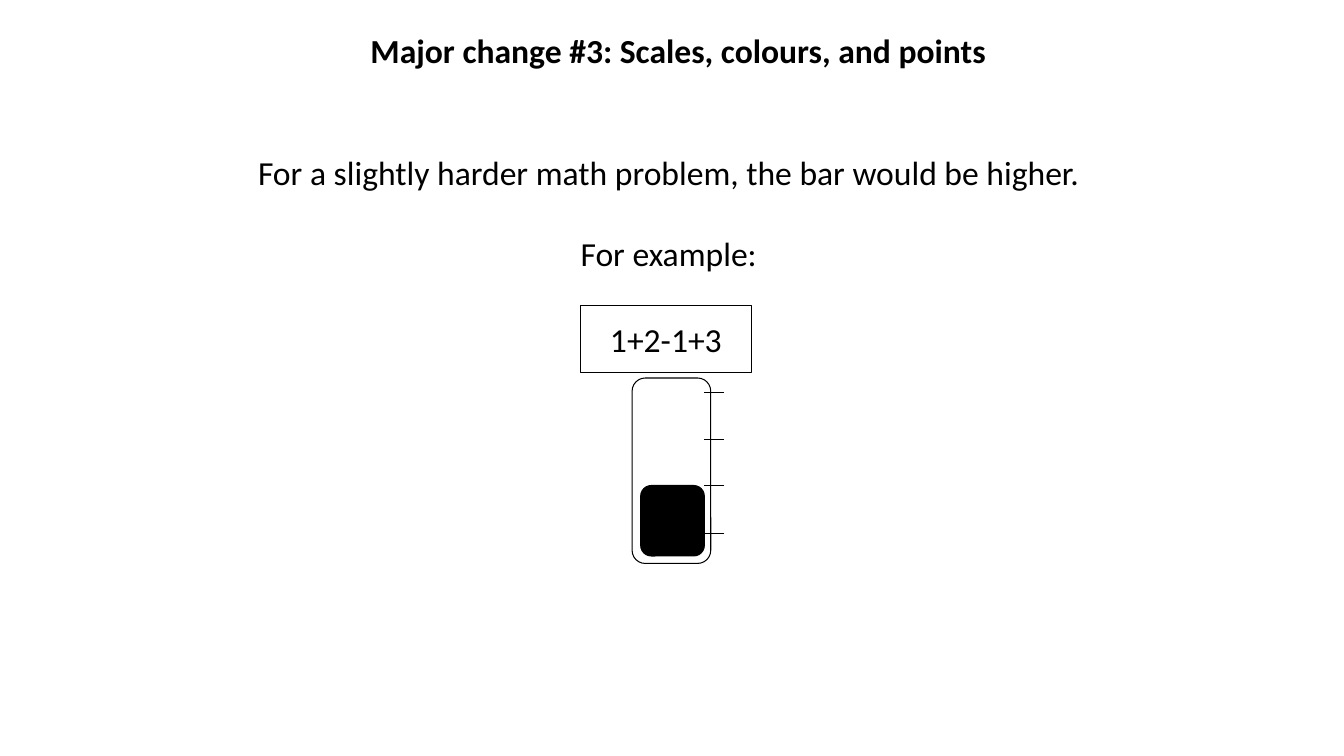
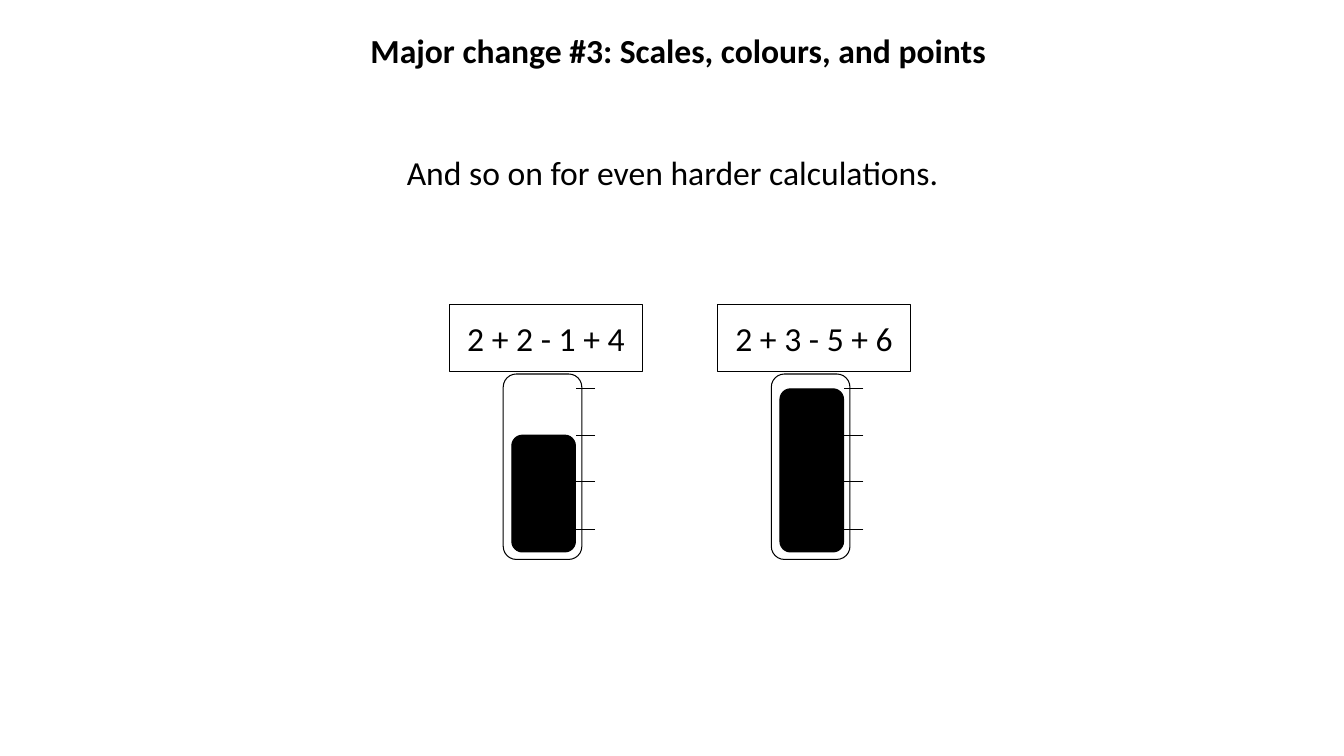
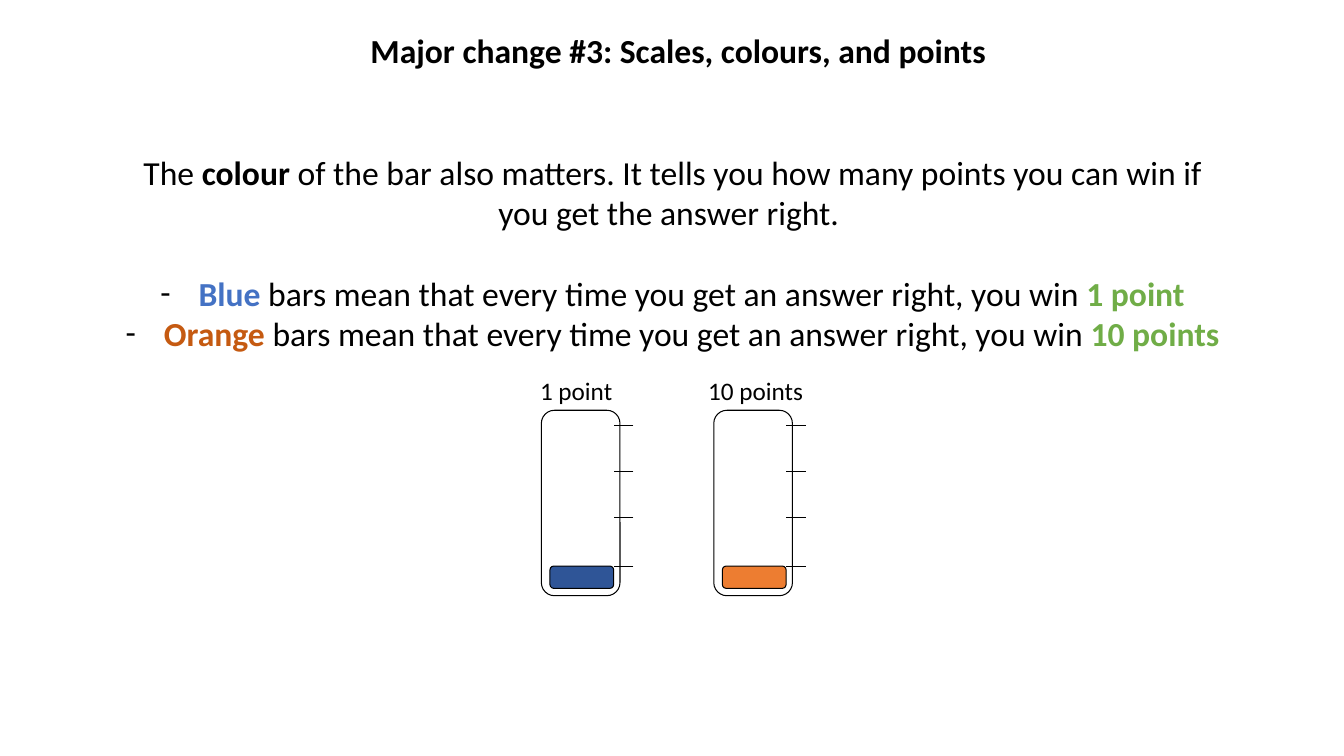
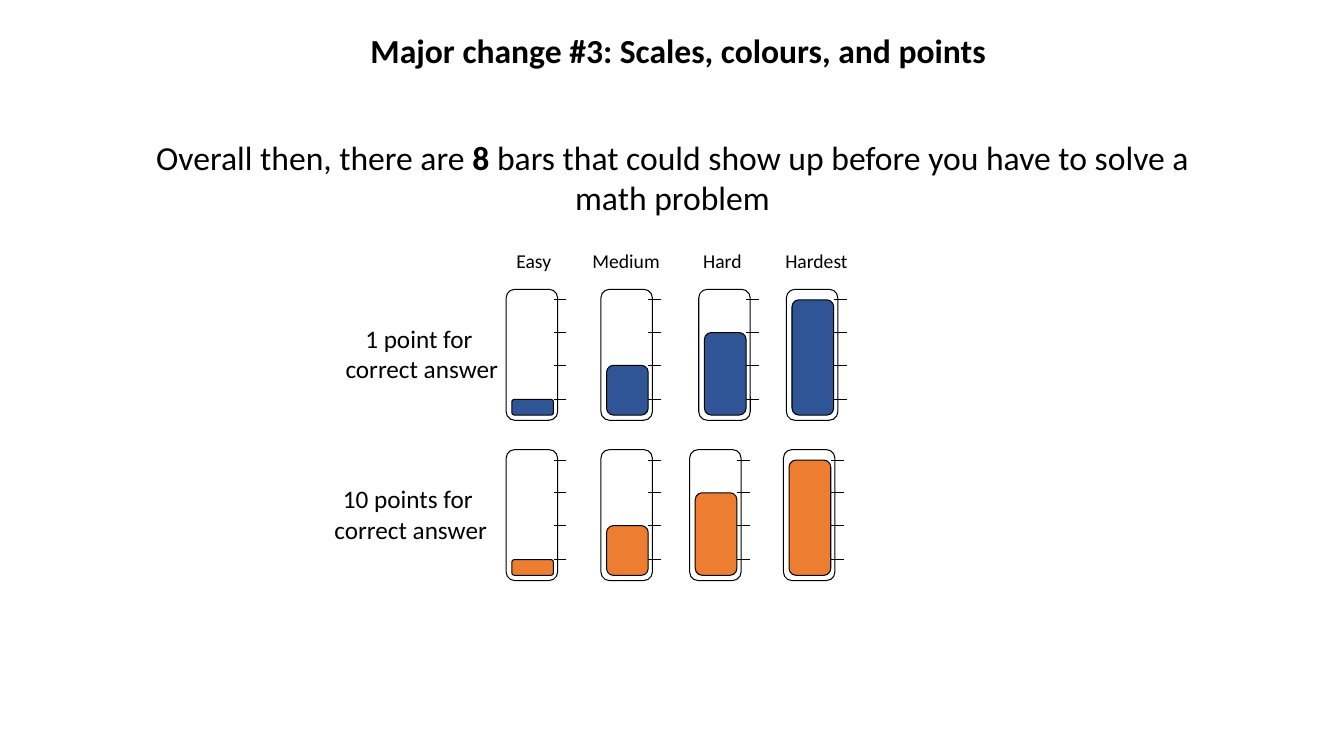
import pptx
import pptx.dml.color
import pptx.enum.shapes
import pptx.enum.text
import pptx.oxml
import pptx.oxml.ns
import pptx.util

RGB = pptx.dml.color.RGBColor
SHAPE = pptx.enum.shapes.MSO_SHAPE
ANCHOR = pptx.enum.text.MSO_ANCHOR
CENTER = pptx.enum.text.PP_ALIGN.CENTER

WIDTH = pptx.util.Inches(13.33)
HEIGHT = pptx.util.Inches(7.5)

BLACK = RGB(0x00, 0x00, 0x00)
WHITE = RGB(0xFF, 0xFF, 0xFF)
BLUE = RGB(0x2F, 0x55, 0x97)
ORANGE = RGB(0xED, 0x7D, 0x31)
BLUE_TEXT = RGB(0x44, 0x72, 0xC4)
ORANGE_TEXT = RGB(0xC5, 0x5A, 0x11)
GREEN_TEXT = RGB(0x70, 0xAD, 0x47)

FONT = "Calibri"
TEXT_SIZE = 24
LINE_WIDTH = pptx.util.Pt(0.75)
TITLE = "Major change #3: Scales, colours, and points "
TITLE_BOX = (4.35, 3.33, 92.8, 6.67)

GAUGE = (5.85, 24.53)
SMALL_GAUGE = (3.83, 17.33)
TICKS = (0.84, 0.58, 0.33, 0.08)
EASY, MEDIUM, HARD, HARDEST = TICKS


def across(percent):
    return round(WIDTH * percent / 100)


def down(percent):
    return round(HEIGHT * percent / 100)


def place(box):
    left, top, width, height = box
    return across(left), down(top), across(width), down(height)


def add_run(p, text, size=TEXT_SIZE, color=BLACK, bold=False):
    r = p.add_run()
    r.text = text
    r.font.name = FONT
    r.font.size = pptx.util.Pt(size)
    r.font.bold = bold
    r.font.color.rgb = color


def add_bullet(p):
    pPr = p._p.get_or_add_pPr()
    indent = across(2.85)
    pPr.set("marL", str(indent))
    pPr.set("indent", str(-indent))
    ns = pptx.oxml.ns.nsdecls("a")
    for xml in (
        f'<a:buClr {ns}><a:srgbClr val="{BLACK}"/></a:buClr>',
        f'<a:buFont {ns} typeface="{FONT}"/>',
        f'<a:buChar {ns} char="-"/>',
    ):
        pPr.append(pptx.oxml.parse_xml(xml))


def add_paragraph(tf, index):
    p = tf.add_paragraph() if index else tf.paragraphs[0]
    p.alignment = CENTER
    return p


def set_insets(tf):
    inset = across(1)
    tf.margin_left = tf.margin_right = inset
    tf.margin_top = tf.margin_bottom = inset


def outline(sp, fill=None):
    sp.shadow.inherit = False
    if fill is None:
        sp.fill.background()
    else:
        sp.fill.solid()
        sp.fill.fore_color.rgb = fill
    sp.line.color.rgb = BLACK
    sp.line.width = LINE_WIDTH


def add_titled_slide(prs):
    slide = prs.slides.add_slide(prs.slide_layouts[5])
    sp = slide.shapes.title
    sp.left, sp.top, sp.width, sp.height = place(TITLE_BOX)
    tf = sp.text_frame
    tf.auto_size = pptx.enum.text.MSO_AUTO_SIZE.NONE
    tf.vertical_anchor = ANCHOR.TOP
    add_run(add_paragraph(tf, 0), TITLE, bold=True)
    return slide


def add_body(slide, top, height, paragraphs, gap_before=None, first_bullet=None):
    sp = slide.shapes.add_textbox(*place((8.25, top, 83.57, height)))
    tf = sp.text_frame
    tf.word_wrap = True
    set_insets(tf)
    for i, runs in enumerate(paragraphs):
        p = add_paragraph(tf, i)
        if i == gap_before:
            p.space_before = pptx.util.Pt(29)
        if first_bullet is not None and i >= first_bullet:
            add_bullet(p)
        for text, color, bold in runs:
            add_run(p, text, color=color, bold=bold)


def add_label(slide, center, top, lines, size):
    width = 14
    height = 6.67 * len(lines)
    sp = slide.shapes.add_textbox(*place((center - width / 2, top, width, height)))
    tf = sp.text_frame
    tf.word_wrap = True
    for i, text in enumerate(lines):
        add_run(add_paragraph(tf, i), text, size)


def add_equation(slide, box, text):
    sp = slide.shapes.add_shape(SHAPE.RECTANGLE, *place(box))
    outline(sp)
    tf = sp.text_frame
    tf.vertical_anchor = ANCHOR.MIDDLE
    set_insets(tf)
    add_run(add_paragraph(tf, 0), text)


def add_gauge(slide, left, top, size, level, color):
    width, height = size
    shapes = slide.shapes.add_group_shape().shapes

    def add_tube(box, fill):
        outline(shapes.add_shape(SHAPE.FLOWCHART_ALTERNATE_PROCESS, *place(box)), fill)

    add_tube((left, top, width, height), WHITE)
    for tick in TICKS:
        y = down(top + tick * height)
        c = shapes.add_connector(
            pptx.enum.shapes.MSO_CONNECTOR.STRAIGHT,
            across(left + 1.17 * width), y, across(left + 0.92 * width), y,
        )
        c.line.color.rgb = BLACK
        c.line.width = LINE_WIDTH
        ns = pptx.oxml.ns.nsdecls("a")
        c._element.spPr.append(pptx.oxml.parse_xml(f"<a:effectLst {ns}/>"))
    add_tube(
        (left + 0.11 * width, top + level * height,
         0.81 * width, (0.96 - level) * height),
        color,
    )


def build_harder_slide(prs):
    slide = add_titled_slide(prs)
    add_body(slide, 18.27, 19.73, [
        [("For a slightly harder math problem, the bar would be higher. ", BLACK, False)],
        [("For example: ", BLACK, False)],
    ], gap_before=1)
    add_equation(slide, (43.21, 40.4, 12.68, 8.93), "1+2-1+3")
    add_gauge(slide, 47.03, 50, GAUGE, MEDIUM, BLACK)


def build_even_harder_slide(prs):
    slide = add_titled_slide(prs)
    add_body(slide, 18.27, 8.93, [
        [("And so on for even harder calculations.", BLACK, False)],
    ])
    examples = [("2 + 2 - 1 + 4", HARD), ("2 + 3 - 5 + 6", HARDEST)]
    for i, (equation, level) in enumerate(examples):
        left = 33.46 + 19.95 * i
        add_gauge(slide, left + 3.98, 49.47, GAUGE, level, BLACK)
        add_equation(slide, (left, 40.27, 14.33, 8.93), equation)


def build_colour_slide(prs):
    slide = add_titled_slide(prs)
    rule = "bars mean that every time you get an answer right, you win "
    add_body(slide, 18.27, 30.53, [
        [("The ", BLACK, False), ("colour", BLACK, True),
         (" of the bar also matters. It tells you how many points you can win"
          " if you get the answer right. ", BLACK, False)],
        [("Blue ", BLUE_TEXT, True), (rule, BLACK, False),
         ("1 point", GREEN_TEXT, True)],
        [("Orange ", ORANGE_TEXT, True), (rule, BLACK, False),
         ("10 points", GREEN_TEXT, True)],
    ], gap_before=1, first_bullet=1)
    for left, center, label, color in (
        (40.28, 42.87, "1 point", BLUE),
        (53.11, 56.23, "10 points", ORANGE),
    ):
        add_gauge(slide, left, 54.27, GAUGE, EASY, color)
        add_label(slide, center, 49, [label], 18)


def build_overview_slide(prs):
    slide = add_titled_slide(prs)
    add_body(slide, 16.27, 14.4, [
        [("Overall then, there are ", BLACK, False), ("8 ", BLACK, True),
         ("bars that could show up before you have to solve a math problem",
          BLACK, False)],
    ])
    rows = (
        (38.27, (37.66, 44.71, 51.99, 58.51), BLUE, 31.17, "1 point for"),
        (59.47, (37.66, 44.71, 51.31, 58.29), ORANGE, 30.35, "10 points for"),
    )
    for top, lefts, color, center, points in rows:
        for left, level in zip(lefts, TICKS):
            add_gauge(slide, left, top, SMALL_GAUGE, level, color)
        add_label(slide, center, top + 3.86, [points, " correct answer"], 18)
    for center, name in zip(
        (39.72, 46.59, 53.75, 60.75), ("Easy", "Medium", "Hard", "Hardest")
    ):
        add_label(slide, center, 32.3, [name], 14)


def main():
    prs = pptx.Presentation()
    prs.slide_width = WIDTH
    prs.slide_height = HEIGHT
    build_harder_slide(prs)
    build_even_harder_slide(prs)
    build_colour_slide(prs)
    build_overview_slide(prs)
    prs.save("out.pptx")


if __name__ == "__main__":
    main()
